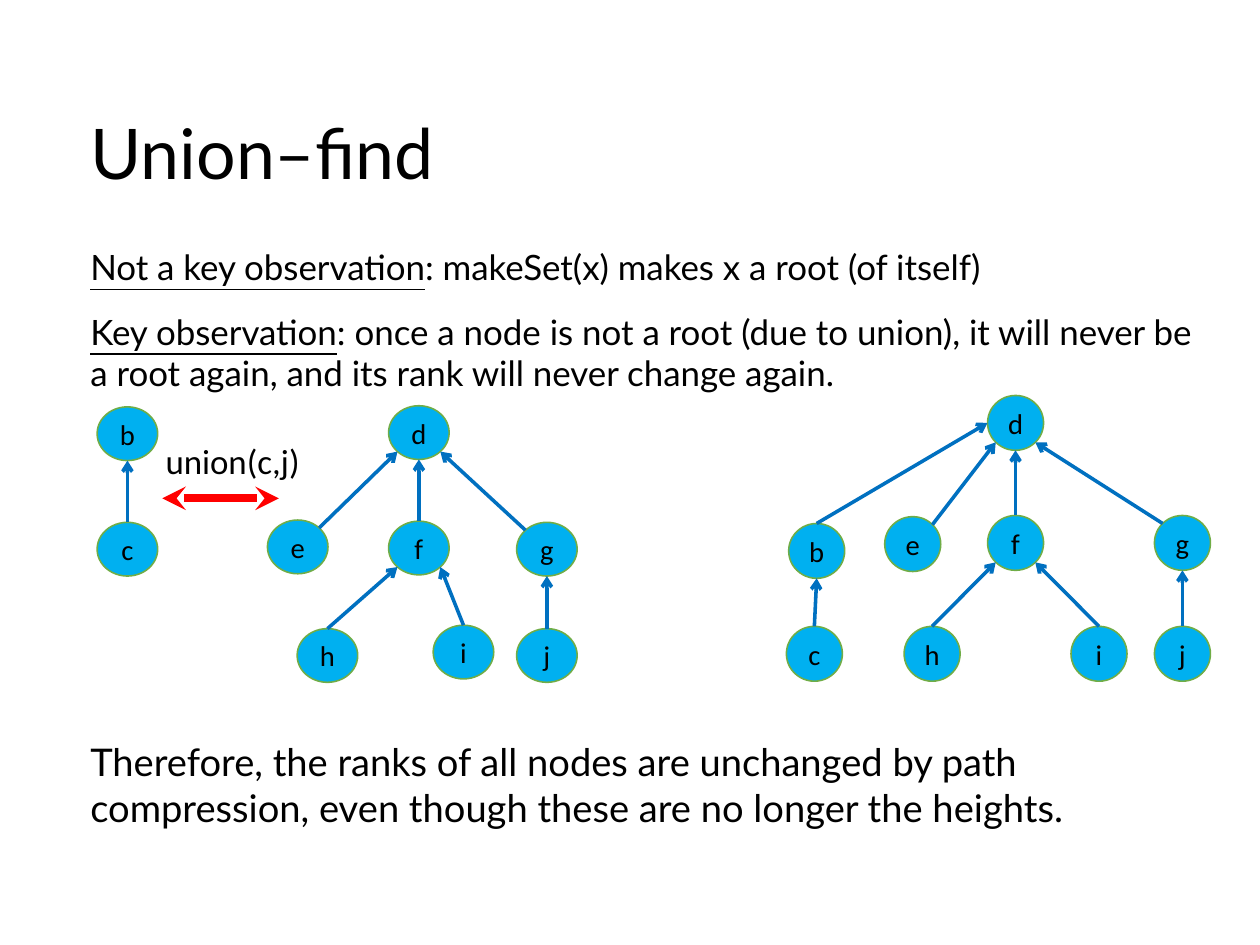
from math import sqrt

from lxml.etree import SubElement
from pptx import Presentation
from pptx.dml.color import RGBColor
from pptx.enum.shapes import MSO_CONNECTOR as Connector, MSO_SHAPE as Shape
from pptx.enum.text import MSO_ANCHOR as Anchor, PP_ALIGN as Align
from pptx.oxml.ns import qn
from pptx.util import Inches, Pt

BLACK = RGBColor(0x00, 0x00, 0x00)
SKY = RGBColor(0x00, 0xB0, 0xF0)
GREEN = RGBColor(0x70, 0xAD, 0x47)
BLUE = RGBColor(0x00, 0x70, 0xC0)
RED = RGBColor(0xFF, 0x00, 0x00)

CM_PER_INCH = 2.54
DIAGONAL = 1 / sqrt(2)
PORTS = {
    "top": (0, -1),
    "bottom": (0, 1),
    "left": (-1, 0),
    "top left": (-DIAGONAL, -DIAGONAL),
    "top right": (DIAGONAL, -DIAGONAL),
    "bottom left": (-DIAGONAL, DIAGONAL),
    "bottom right": (DIAGONAL, DIAGONAL),
}

SMALL_TREE = {"b": (0.85, 3.56), "c": (0.85, 4.57)}
SMALL_EDGES = [("b", "bottom", "c", "top")]

LARGE_TREE = {
    "d": (3.4, 3.55), "e": (2.34, 4.55), "f": (3.4, 4.56), "g": (4.52, 4.57),
    "h": (2.6, 5.5), "i": (3.79, 5.47), "j": (4.52, 5.5),
}
LARGE_EDGES = [
    ("d", "bottom left", "e", "top right"),
    ("d", "bottom", "f", "top"),
    ("d", "bottom right", "g", "top left"),
    ("f", "bottom left", "h", "top"),
    ("f", "bottom right", "i", "top"),
    ("g", "bottom", "j", "top"),
]

MERGED_TREE = {
    "b": (6.9, 4.58), "c": (6.88, 5.48), "d": (8.64, 3.46), "e": (7.74, 4.52),
    "f": (8.64, 4.51), "g": (10.1, 4.51), "h": (7.91, 5.48), "i": (9.37, 5.48),
    "j": (10.1, 5.48),
}
MERGED_EDGES = LARGE_EDGES + SMALL_EDGES + [("d", "left", "b", "top")]


def add_span(para, text, size, font, underline=False):
    span = para.add_run()
    span.text = text
    span.font.size = Pt(size)
    span.font.name = font
    span.font.color.rgb = BLACK
    span.font.underline = underline


def add_box(page, left, top, width, height, margins):
    box = page.shapes.add_textbox(Inches(left), Inches(top), Inches(width), Inches(height))
    frame = box.text_frame
    frame.word_wrap = True
    side, edge = margins
    frame.margin_left = frame.margin_right = Inches(side)
    frame.margin_top = frame.margin_bottom = Inches(edge)
    return frame


def add_observations(page, observations):
    frame = add_box(page, 0.79, 2.13, 9.68, 1.4, (0, 0.02))
    for index, (label, statement) in enumerate(observations):
        para = frame.add_paragraph() if index else frame.paragraphs[0]
        para.space_after = Pt(14.2)
        add_span(para, label, 22, "Lato", underline=True)
        add_span(para, statement, 22, "Lato")


def add_arrow(shapes, start, end, color, width, **ends):
    points = [Inches(value) for value in (*start, *end)]
    arrow = shapes.add_connector(Connector.STRAIGHT, *points)
    arrow.line.color.rgb = color
    arrow.line.width = Pt(width)
    outline = arrow.line._get_or_add_ln()
    for tag, kind in ends.items():
        SubElement(outline, qn(f"a:{tag}"), type=kind)
    SubElement(arrow._element.spPr, qn("a:effectLst"))


def add_node(shapes, name, left, top, width, height):
    node = shapes.add_shape(Shape.OVAL, Inches(left), Inches(top), Inches(width), Inches(height))
    node.shadow.inherit = False
    node.fill.solid()
    node.fill.fore_color.rgb = SKY
    node.line.color.rgb = GREEN
    node.line.width = Pt(1)
    node.text_frame.vertical_anchor = Anchor.MIDDLE
    para = node.text_frame.paragraphs[0]
    para.alignment = Align.CENTER
    add_span(para, name, 18, "Calibri")


def port_point(corner, size, port):
    return [
        start + length / 2 * (1 + offset)
        for start, length, offset in zip(corner, size, PORTS[port])
    ]


def add_tree(page, nodes, edges, size):
    shapes = page.shapes.add_group_shape().shapes
    for name, corner in nodes.items():
        add_node(shapes, name, *corner, *size)
    for parent, parent_port, child, child_port in edges:
        start = port_point(nodes[parent], size, parent_port)
        end = port_point(nodes[child], size, child_port)
        add_arrow(shapes, start, end, BLUE, 2.25, headEnd="arrow")


def main():
    deck = Presentation()
    deck.slide_width = Inches(28 / CM_PER_INCH)
    deck.slide_height = Inches(21 / CM_PER_INCH)
    page = deck.slides.add_slide(deck.slide_layouts[6])

    title = add_box(page, 0.79, 0.62, 9.25, 1.37, (0, 0))
    title.margin_top = Inches(0.04)
    title.vertical_anchor = Anchor.MIDDLE
    add_span(title.paragraphs[0], "Union–find", 44, "Lato")

    add_observations(page, [
        ("Not a key observation", ": makeSet(x) makes x a root (of itself)"),
        ("Key observation", ": once a node is not a root (due to union), it will never be "
                            "a root again, and its rank will never change again."),
    ])
    conclusion = add_box(page, 0.79, 6.44, 9.68, 0.95, (0, 0.02))
    add_span(conclusion.paragraphs[0],
             "Therefore, the ranks of all nodes are unchanged by path compression, "
             "even though these are no longer the heights.", 24, "Lato")

    add_tree(page, SMALL_TREE, SMALL_EDGES, (0.53, 0.47))
    add_tree(page, LARGE_TREE, LARGE_EDGES, (0.53, 0.47))
    add_arrow(page.shapes, (1.42, 4.36), (2.44, 4.36), RED, 5,
              headEnd="stealth", tailEnd="stealth")
    add_tree(page, MERGED_TREE, MERGED_EDGES, (0.49, 0.48))

    label = add_box(page, 1.35, 3.8, 1.77, 0.45, (0.1, 0.05))
    add_span(label.paragraphs[0], "union(c,j)", 22, "Calibri")

    deck.save("out.pptx")


if __name__ == "__main__":
    main()
